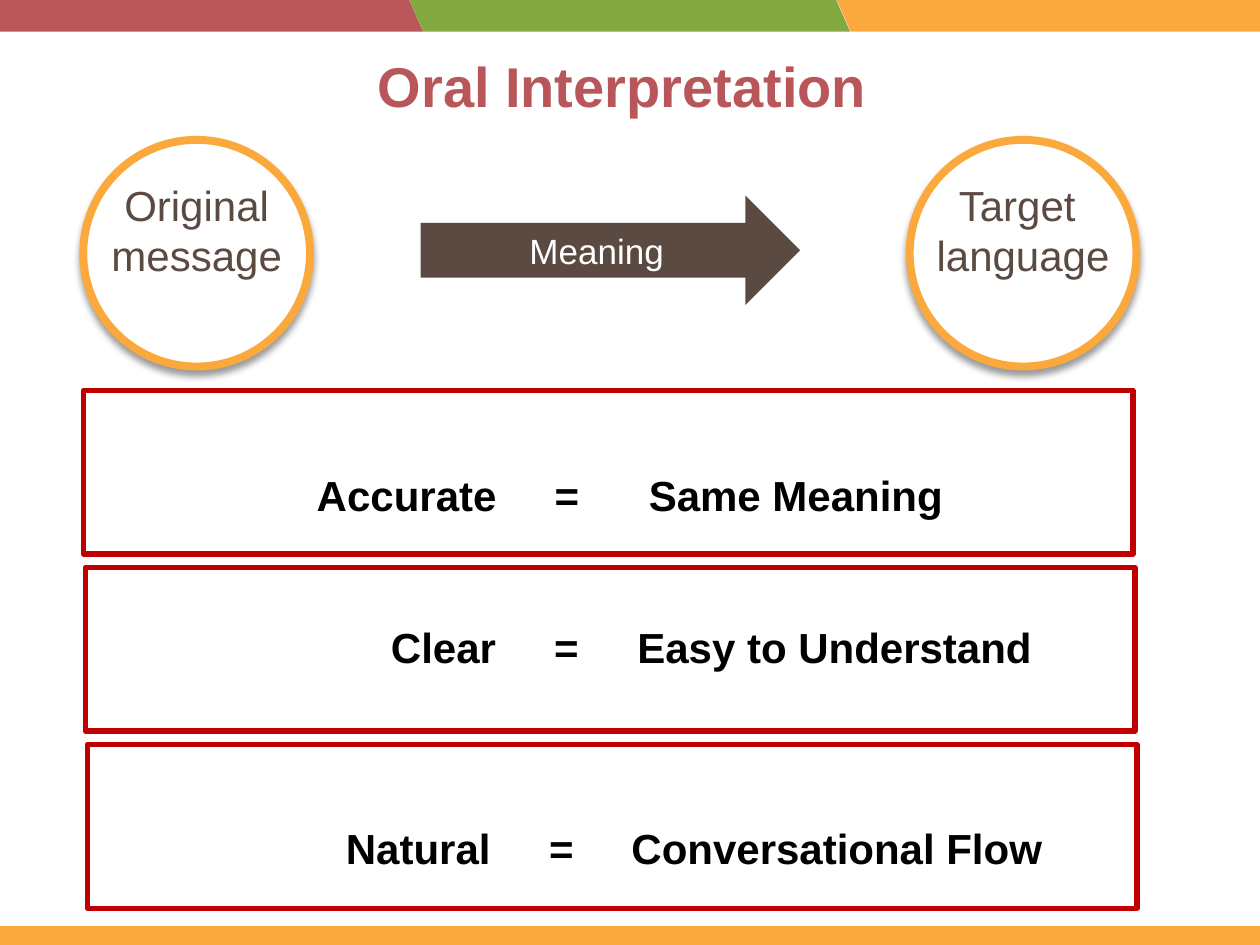
import pptx
import pptx.util
import pptx.dml.color
import pptx.enum.shapes
import pptx.enum.text
import pptx.oxml
import pptx.oxml.ns

Cm = pptx.util.Cm
Pt = pptx.util.Pt
PRESET = pptx.enum.shapes.MSO_SHAPE
ANCHOR = pptx.enum.text.MSO_ANCHOR
ALIGN = pptx.enum.text.PP_ALIGN
NAMESPACE = pptx.oxml.ns.nsdecls("a")
CORAL, GREEN, ORANGE, BROWN = "B95659", "83A83F", "FBA93D", "5B4A42"

presentation = pptx.Presentation()
presentation.slide_width, presentation.slide_height = Cm(25.4), Cm(19.05)
slide = presentation.slides.add_slide(presentation.slide_layouts[5])


def add_part(preset, left, top, width, height, fill=None, line=None, line_width=0):
    part = slide.shapes.add_shape(preset, Cm(left), Cm(top), Cm(width), Cm(height))
    part.shadow.inherit = False
    for side, color in ((part.fill, fill), (part.line.fill, line)):
        if color:
            side.solid()
            side.fore_color.rgb = pptx.dml.color.RGBColor.from_string(color)
        else:
            side.background()
    if line:
        part.line.width = Pt(line_width)
    return part


def write(part, text, size, color, bold=False, align=ALIGN.CENTER, **frame_format):
    frame = part.text_frame
    frame.text = text
    for name, value in frame_format.items():
        setattr(frame, name, value)
    for paragraph in frame.paragraphs:
        paragraph.alignment = align
        font_format = {"name": "Arial", "size": Pt(size), "bold": bold}
        for name, value in font_format.items():
            setattr(paragraph.runs[0].font, name, value)
        paragraph.runs[0].font.color.rgb = pptx.dml.color.RGBColor.from_string(color)


for left, color in ((16.87, ORANGE), (-0.36, CORAL), (8.25, GREEN)):
    band = add_part(PRESET.PARALLELOGRAM, left, 0, 8.89, 0.64, color)
    band.adjustments[0] = 0.44
    band._element.spPr.xfrm.set("flipH", "1")
add_part(PRESET.RECTANGLE, 0, 18.67, 25.4, 0.38, ORANGE)

heading = slide.shapes.title
heading_place = {"left": Cm(1.75), "top": Cm(1.07), "width": Cm(21.9), "height": Cm(3.68)}
for name, value in heading_place.items():
    setattr(heading, name, value)
write(heading, "Oral Interpretation ", 32, CORAL, True,
      vertical_anchor=ANCHOR.TOP, word_wrap=True)
heading.text_frame.paragraphs[0].line_spacing = 0.9

for left, message in ((1.68, "Original\nmessage"), (18.34, "Target \nlanguage")):
    circle = add_part(PRESET.OVAL, left, 2.82, 4.57, 4.57, "FFFFFF", ORANGE, 4.5)
    write(circle, message, 24, BROWN, vertical_anchor=ANCHOR.TOP, word_wrap=False)
    effects = circle._element.spPr.find(pptx.oxml.ns.qn("a:effectLst"))
    effects.append(pptx.oxml.parse_xml(
        f'<a:outerShdw {NAMESPACE} blurRad="{Pt(4)}" dist="{Pt(3)}" dir="5400000" '
        'rotWithShape="0"><a:srgbClr val="000000"><a:alpha val="40000"/>'
        '</a:srgbClr></a:outerShdw>'))

meaning = add_part(PRESET.RIGHT_ARROW, 8.48, 3.94, 7.65, 2.21, BROWN)
write(meaning, "Meaning", 20, "FFFFFF", vertical_anchor=ANCHOR.MIDDLE)

qualities = (
    ("Accurate", "Same Meaning", 1.6, (8.33, 9.75, 11.4)),
    ("Clear", "Easy to Understand", 1.08, (8.28, 9.7, 11.13)),
    ("Natural", "Conversational Flow", 1.58, (8.13, 9.56, 10.97)),
)
for index, (quality, explanation, inset, stops) in enumerate(qualities):
    row = add_part(PRESET.RECTANGLE, 1.68 + 0.04 * index, 7.87 + 3.57 * index,
                   21.16, 3.3, line="C00000", line_width=3)
    row.line._get_or_add_ln().append(pptx.oxml.parse_xml(f"<a:round {NAMESPACE}/>"))
    write(row, f"\t{quality}\t=\t{explanation}", 24, "000000", True, ALIGN.LEFT,
          vertical_anchor=ANCHOR.TOP, word_wrap=True,
          margin_left=0, margin_right=0, margin_top=Cm(inset), margin_bottom=0)
    tabs = "".join(f'<a:tab pos="{Cm(stop)}" algn="{side}"/>'
                   for stop, side in zip(stops, ("r", "ctr", "l")))
    row.text_frame.paragraphs[0]._p.get_or_add_pPr().append(
        pptx.oxml.parse_xml(f"<a:tabLst {NAMESPACE}>{tabs}</a:tabLst>"))

presentation.save("out.pptx")
